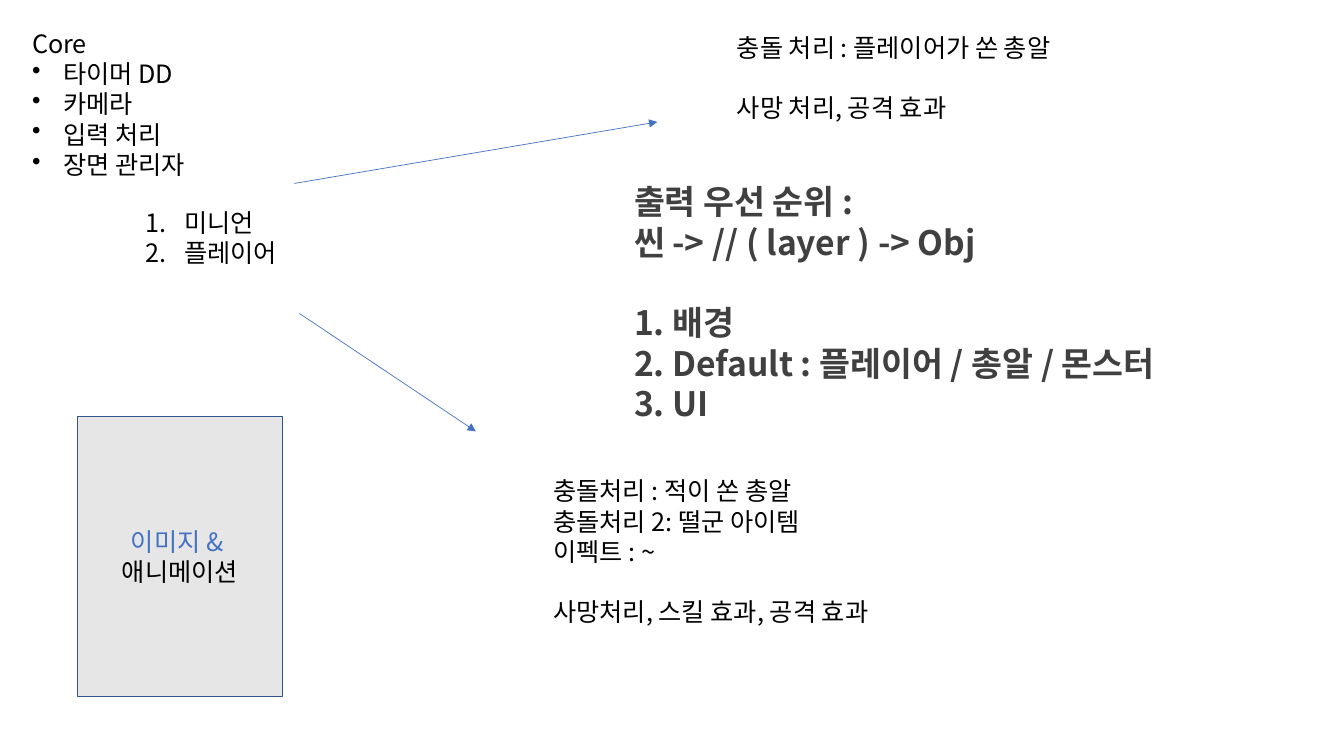
from dataclasses import dataclass

from lxml import etree
from pptx import Presentation
from pptx.dml.color import RGBColor
from pptx.enum.shapes import MSO_CONNECTOR, MSO_SHAPE
from pptx.enum.text import MSO_ANCHOR, MSO_AUTO_SIZE, PP_ALIGN
from pptx.oxml.ns import qn
from pptx.util import Inches, Pt

RECTANGLE = MSO_SHAPE.RECTANGLE
STRAIGHT = MSO_CONNECTOR.STRAIGHT
MIDDLE = MSO_ANCHOR.MIDDLE
GROW = MSO_AUTO_SIZE.SHAPE_TO_FIT_TEXT
CENTER = PP_ALIGN.CENTER

FONT = "Noto Sans CJK KR"
BLACK = "000000"
BLUE = "4472C4"
DARK_GRAY = "404040"
LINE_RATIO = 1.2
BULLET = ("a:buChar", {"char": "•"})
NUMBER = ("a:buAutoNum", {"type": "arabicPeriod"})


@dataclass
class Line:
    text: str
    marker: tuple | None = None
    indent: float = 0
    gap: bool = False
    color: str = BLACK


@dataclass
class Note:
    left: float
    top: float
    width: float
    height: float
    lines: list[Line]
    size: float = 18
    bold: bool = False


@dataclass
class Arrow:
    start: tuple[float, float]
    end: tuple[float, float]


def bulleted(text: str) -> Line:
    return Line(text, BULLET, 0.31)


def numbered(text: str, color: str = BLACK, gap: bool = False) -> Line:
    return Line(text, NUMBER, 0.38, gap, color)


NOTES = [
    Note(0.22, 0.23, 4.36, 1.92, [
        Line("Core"),
        *map(bulleted, ["타이머 DD", "카메라", "입력 처리", "장면 관리자"]),
    ]),
    Note(1.35, 2.01, 3.47, 1.01, [numbered("미니언"), numbered("플레이어")]),
    Note(5.39, 4.67, 6.24, 1.62, [
        Line("충돌처리 : 적이 쏜 총알"),
        Line("충돌처리 2: 떨군 아이템"),
        Line("이펙트 : ~"),
        Line("사망처리, 스킬 효과, 공격 효과", gap=True),
    ]),
    Note(7.21, 0.27, 6.24, 1.01, [
        Line("충돌 처리 : 플레이어가 쏜 총알"),
        Line("사망 처리, 공격 효과", gap=True),
    ]),
    Note(6.19, 1.75, 6.24, 2.52, [
        Line("출력 우선 순위 :", color=DARK_GRAY),
        Line("씬 -> // ( layer ) -> Obj", color=DARK_GRAY),
        numbered("배경", DARK_GRAY, gap=True),
        numbered("Default : 플레이어 / 총알 / 몬스터", DARK_GRAY),
        numbered("UI", DARK_GRAY),
    ], size=24, bold=True),
]

ARROWS = [
    Arrow((2.92, 1.82), (6.52, 1.21)),
    Arrow((2.97, 3.11), (4.72, 4.28)),
]


def rgb(value: str) -> RGBColor:
    return RGBColor.from_string(value)


def add_span(para, text: str, *, size: float, color: str, bold: bool) -> None:
    span = para.add_run()
    span.text = text
    span.font.name = FONT
    span.font.size = Pt(size)
    span.font.bold = bold
    span.font.color.rgb = rgb(color)
    properties = span.font._element
    etree.SubElement(properties, qn("a:ea"), typeface=FONT)


def write_lines(frame, lines: list[Line], *, size: float = 18,
                bold: bool = False, align=None) -> None:
    frame.word_wrap = True
    for index, line in enumerate(lines):
        para = frame.add_paragraph() if index else frame.paragraphs[0]
        para.alignment = align
        para.line_spacing = Pt(size * LINE_RATIO)
        if line.gap:
            para.space_before = Pt(size * LINE_RATIO)
        if line.marker:
            tag, attributes = line.marker
            properties = para._p.get_or_add_pPr()
            properties.set("marL", str(Inches(line.indent)))
            properties.set("indent", str(-Inches(line.indent)))
            etree.SubElement(properties, qn(tag), attributes)
        add_span(para, line.text, size=size, color=line.color, bold=bold)


def add_note(page, note: Note) -> None:
    box = page.shapes.add_textbox(Inches(note.left), Inches(note.top),
                                  Inches(note.width), Inches(note.height))
    write_lines(box.text_frame, note.lines, size=note.size, bold=note.bold)
    box.text_frame.auto_size = GROW


def add_arrow(page, arrow: Arrow) -> None:
    connector = page.shapes.add_connector(
        STRAIGHT, *map(Inches, arrow.start + arrow.end))
    connector.line.color.rgb = rgb(BLUE)
    connector.line.width = Pt(0.5)
    etree.SubElement(connector.line._get_or_add_ln(), qn("a:tailEnd"), type="triangle")
    etree.SubElement(connector._element.spPr, qn("a:effectLst"))


def add_image_panel(page) -> None:
    panel = page.shapes.add_shape(RECTANGLE, Inches(0.77), Inches(4.13),
                                  Inches(2.03), Inches(2.78))
    panel.shadow.inherit = False
    panel.fill.solid()
    panel.fill.fore_color.rgb = rgb("E7E6E6")
    panel.line.color.rgb = rgb("325491")
    panel.line.width = Pt(1)
    panel.text_frame.vertical_anchor = MIDDLE
    write_lines(panel.text_frame,
                [Line("이미지 & ", color=BLUE), Line("애니메이션")], align=CENTER)


def main() -> None:
    deck = Presentation()
    deck.slide_width = Inches(13.33)
    deck.slide_height = Inches(7.5)
    page = deck.slides.add_slide(deck.slide_layouts[6])
    add_image_panel(page)
    for arrow in ARROWS:
        add_arrow(page, arrow)
    for note in NOTES:
        add_note(page, note)
    deck.save("out.pptx")


if __name__ == "__main__":
    main()
